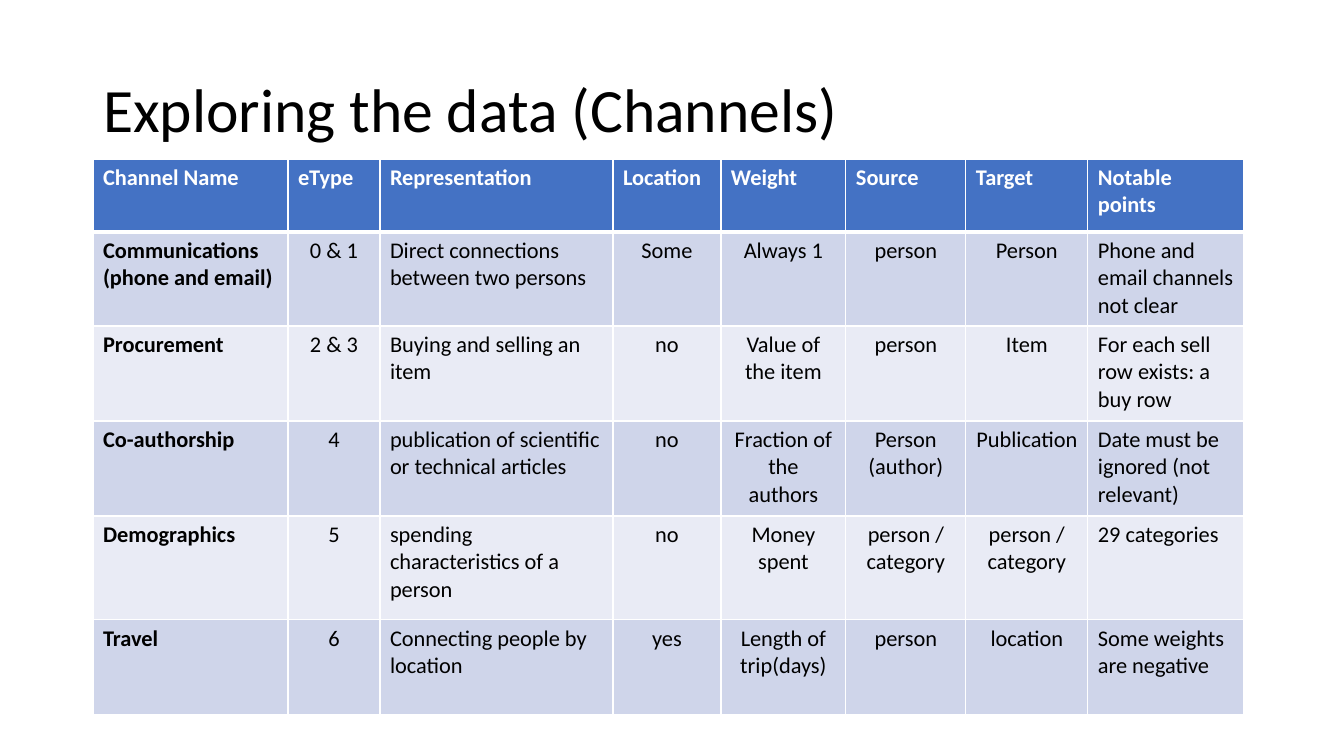
from dataclasses import dataclass

from pptx import Presentation
from pptx.dml.color import RGBColor
from pptx.enum.text import MSO_ANCHOR, MSO_AUTO_SIZE, PP_ALIGN
from pptx.oxml import parse_xml
from pptx.oxml.ns import nsdecls
from pptx.slide import Slide
from pptx.table import _Cell
from pptx.util import Emu, Pt


@dataclass(frozen=True)
class Theme:
    font: str = "Calibri"
    title: int = 44
    body: int = 16
    ink: str = "000000"
    white: str = "FFFFFF"
    head: str = "4472C4"
    bands: tuple[str, str] = ("CFD5EA", "E9EBF5")
    thin: int = 1
    thick: int = 3


@dataclass(frozen=True)
class Column:
    name: str
    width: int
    center: bool = True


@dataclass(frozen=True)
class Channel:
    height: int
    values: tuple[str, ...]


THEME = Theme()
WIDE, HIGH = 1344, 756
LEFT, TOP = 93, 159
HEAD = 73

COLUMNS = (
    Column("Channel Name", 195, False),
    Column("eType", 92),
    Column("Representation", 233, False),
    Column("Location", 108),
    Column("Weight", 125),
    Column("Source", 120),
    Column("Target", 122),
    Column("Notable points", 156, False),
)

CHANNELS = (
    Channel(94, ("Communications\n(phone and email)", "0 & 1",
                 "Direct connections between two persons", "Some", "Always 1",
                 "person", "Person", "Phone and email channels not clear")),
    Channel(95, ("Procurement", "2 & 3", "Buying and selling an item", "no",
                 "Value of the item", "person", "Item",
                 "For each sell row exists: a buy row")),
    Channel(95, ("Co-authorship", "4",
                 "publication of scientific or technical articles", "no",
                 "Fraction of the authors", "Person (author)", "Publication",
                 "Date must be ignored (not relevant)")),
    Channel(104, ("Demographics", "5", "spending characteristics of a person",
                  "no", "Money spent", "person / category",
                  "person / category", "29 categories")),
    Channel(95, ("Travel", "6", "Connecting people by location", "yes",
                 "Length of trip(days)", "person", "location",
                 "Some weights are negative")),
)


def px(count: int) -> Emu:
    return Emu(round(count * 12192000 / WIDE))


def border(cell: _Cell, row: int) -> None:
    """Draw white cell edges, with a thick rule under the header."""
    sides = {"L": THEME.thin, "R": THEME.thin,
             "T": THEME.thick if row == 1 else THEME.thin,
             "B": THEME.thick if row == 0 else THEME.thin}
    props = cell._tc.get_or_add_tcPr()
    for spot, (side, size) in enumerate(sides.items()):
        props.insert(spot, parse_xml(
            f'<a:ln{side} {nsdecls("a")} w="{Pt(size)}"><a:solidFill>'
            f'<a:srgbClr val="{THEME.white}"/></a:solidFill></a:ln{side}>'))


def write(cell: _Cell, text: str, fill: str, ink: str, bold: bool,
          center: bool) -> None:
    cell.text = text
    cell.fill.solid()
    cell.fill.fore_color.rgb = RGBColor.from_string(fill)
    for line in cell.text_frame.paragraphs:
        line.alignment = PP_ALIGN.CENTER if center else PP_ALIGN.LEFT
        line.font.name = THEME.font
        line.font.size = Pt(THEME.body)
        line.font.bold = bold
        line.font.color.rgb = RGBColor.from_string(ink)


def add_title(slide: Slide, text: str) -> None:
    title = slide.shapes.title
    title.left, title.top = px(LEFT), px(40)
    title.width, title.height = px(1159), px(146)
    frame = title.text_frame
    frame.text = text
    frame.word_wrap = True
    frame.auto_size = MSO_AUTO_SIZE.NONE
    frame.vertical_anchor = MSO_ANCHOR.MIDDLE
    line = frame.paragraphs[0]
    line.alignment = PP_ALIGN.LEFT
    line.line_spacing = 0.9
    line.font.name = THEME.font
    line.font.size = Pt(THEME.title)
    line.font.color.rgb = RGBColor.from_string(THEME.ink)


def add_grid(slide: Slide) -> None:
    heights = [HEAD] + [channel.height for channel in CHANNELS]
    width = sum(column.width for column in COLUMNS)
    table = slide.shapes.add_table(
        len(heights), len(COLUMNS), px(LEFT), px(TOP),
        px(width), px(sum(heights))).table
    for row, height in zip(table.rows, heights):
        row.height = px(height)

    for col, column in enumerate(COLUMNS):
        table.columns[col].width = px(column.width)
        # Header cell
        write(table.cell(0, col), column.name, THEME.head, THEME.white,
              True, False)
        # Channel cells, in alternating bands
        for row, channel in enumerate(CHANNELS, 1):
            write(table.cell(row, col), channel.values[col],
                  THEME.bands[(row - 1) % 2], THEME.ink, col == 0,
                  column.center)
        for row in range(len(heights)):
            border(table.cell(row, col), row)


# Slide
deck = Presentation()
deck.slide_width, deck.slide_height = px(WIDE), px(HIGH)
page = deck.slides.add_slide(deck.slide_layouts[5])
add_title(page, "Exploring the data (Channels)")
add_grid(page)
deck.save("out.pptx")
